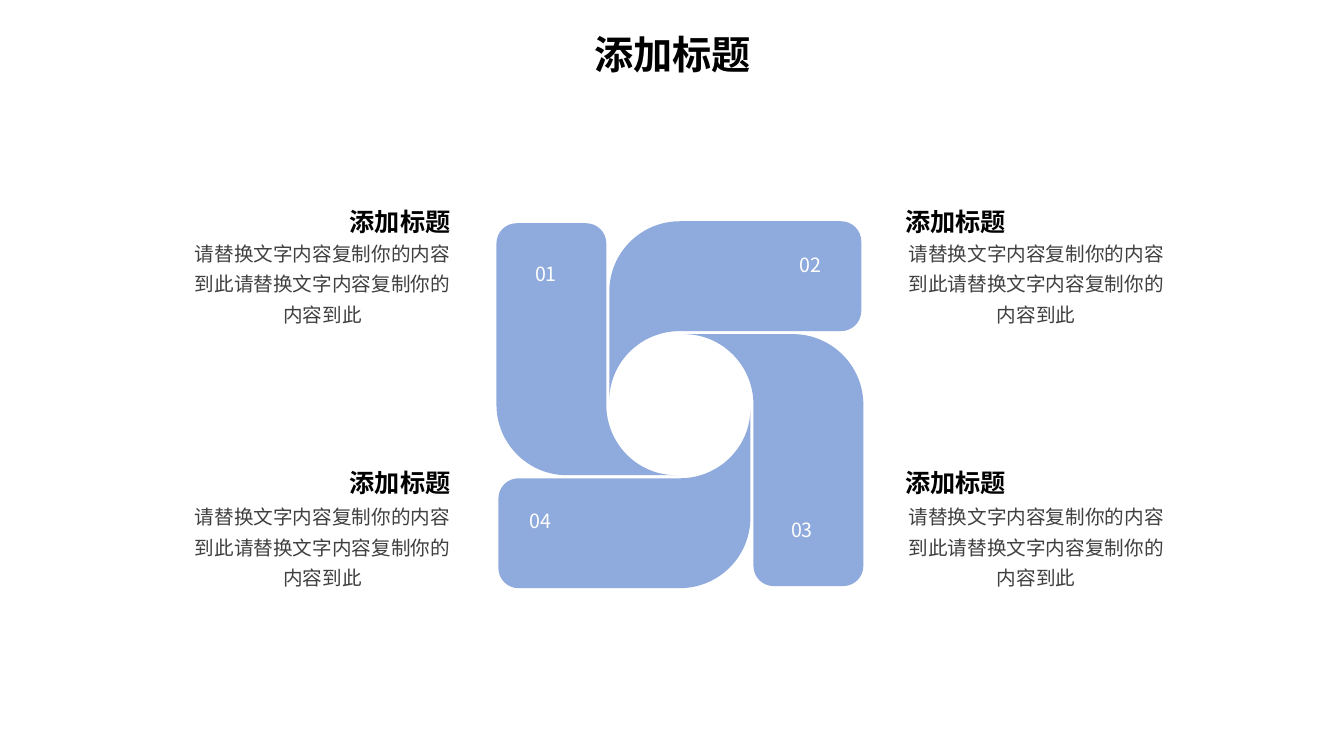
from math import cos, radians, sin, tan

from lxml.etree import SubElement
from pptx import Presentation
from pptx.dml.color import RGBColor
from pptx.enum.text import MSO_AUTO_SIZE, PP_ALIGN
from pptx.oxml.ns import qn
from pptx.util import Inches, Pt

TITLE = "添加标题"
BODY = "请替换文字内容复制你的内容到此" * 2
HUB = (13.49 / 2, 8.03 / 2)
# Arcs of the first blade around the hub: centre x, y, radius x, y, from, to
ARCS = [
    (-1.62, -1.6, 0.2, 0.2, 180, 270),
    (-0.93, -1.6, 0.2, 0.2, 270, 360),
    (-0.04, 0, 0.69, 0.7, 180, 90),
    (-1.12, 0, 0.7, 0.7, 90, 180),
]


def color(code):
    return RGBColor.from_string(code)


def curve(x, y, wide, high, start, end):
    """Four Bezier points of an elliptic arc."""
    first, last = radians(start), radians(end)
    pull = 4 / 3 * tan((last - first) / 4)
    unit = [
        (cos(first), sin(first)),
        (cos(first) - pull * sin(first), sin(first) + pull * cos(first)),
        (cos(last) + pull * sin(last), sin(last) - pull * cos(last)),
        (cos(last), sin(last)),
    ]
    return [(x + wide * a, y + high * b) for a, b in unit]


def bend(shape):
    """Turn the three lines after each arc's first point into a curve."""
    trail = next(shape._element.iter(qn("a:path")))
    parts = list(trail)
    for index in range(1, 4 * len(ARCS), 4):
        bow = parts[index]
        bow.tag = qn("a:cubicBezTo")
        for line in parts[index + 1:index + 3]:
            bow.append(line[0])
            trail.remove(line)


class Deck:
    font = "Noto Sans CJK SC"
    blue = "8FAADC"
    white = "FFFFFF"
    black = "000000"
    gray = "404040"

    def __init__(self):
        self.show = Presentation()
        self.show.slide_width = Inches(40 / 3)
        self.show.slide_height = Inches(7.5)
        self.slide = self.show.slides.add_slide(self.show.slide_layouts[6])

    def text(self, words, box, size, ink, align=PP_ALIGN.LEFT, bold=False,
             wrap=True, lines=None):
        shape = self.slide.shapes.add_textbox(*map(Inches, box))
        frame = shape.text_frame
        frame.text = words
        frame.word_wrap = wrap
        frame.auto_size = MSO_AUTO_SIZE.SHAPE_TO_FIT_TEXT
        para = frame.paragraphs[0]
        para.alignment = align
        para.line_spacing = lines
        run = para.runs[0]
        run.font.size = Pt(size)
        run.font.bold = bold
        run.font.color.rgb = color(ink)
        run.font.name = self.font
        east = SubElement(run._r.get_or_add_rPr(), qn("a:ea"))
        east.set("typeface", self.font)

    def blade(self, turns):
        """Draw the first blade turned clockwise by quarter turns."""
        points = [point for arc in ARCS for point in curve(*arc)]
        for _ in range(turns):
            points = [(-y, x) for x, y in points]
        spots = [(Inches(HUB[0] + x), Inches(HUB[1] + y)) for x, y in points]
        form = self.slide.shapes.build_freeform(*spots[0], scale=1.0)
        form.add_line_segments(spots[1:], close=True)
        shape = form.convert_to_shape()
        bend(shape)
        shape.shadow.inherit = False
        shape.fill.solid()
        shape.fill.fore_color.rgb = color(self.blue)
        shape.line.fill.background()

    def label(self, words, left, top):
        self.text(words, (left, top, 0.43, 0.34), 14, self.white, wrap=False)

    def body(self, left, top):
        self.text(BODY, (left, top, 2.88, 1.02), 14, self.gray,
                  PP_ALIGN.CENTER, lines=1.3)

    def head(self, left, top):
        self.text(TITLE, (left, top, 1.22, 0.46), 18, self.black,
                  PP_ALIGN.JUSTIFY, bold=True, wrap=False, lines=1.2)

    def title(self):
        self.text(TITLE, (0.01, 0.25, 13.33, 0.57), 28, self.black,
                  PP_ALIGN.CENTER, bold=True)


def main():
    deck = Deck()
    labels = [(5.21, 2.55), (7.83, 2.46), (7.75, 5.09), (5.16, 5)]
    for turns, (left, top) in enumerate(labels):
        deck.blade(turns)
        deck.label(f"{turns + 1:02}", left, top)
    for top in (2.28, 4.89):
        for left in (1.76, 8.84):
            deck.body(left, top)
    deck.title()
    for left in (3.37, 8.88):
        for top in (1.94, 4.53):
            deck.head(left, top)
    deck.show.save("out.pptx")


if __name__ == "__main__":
    main()
